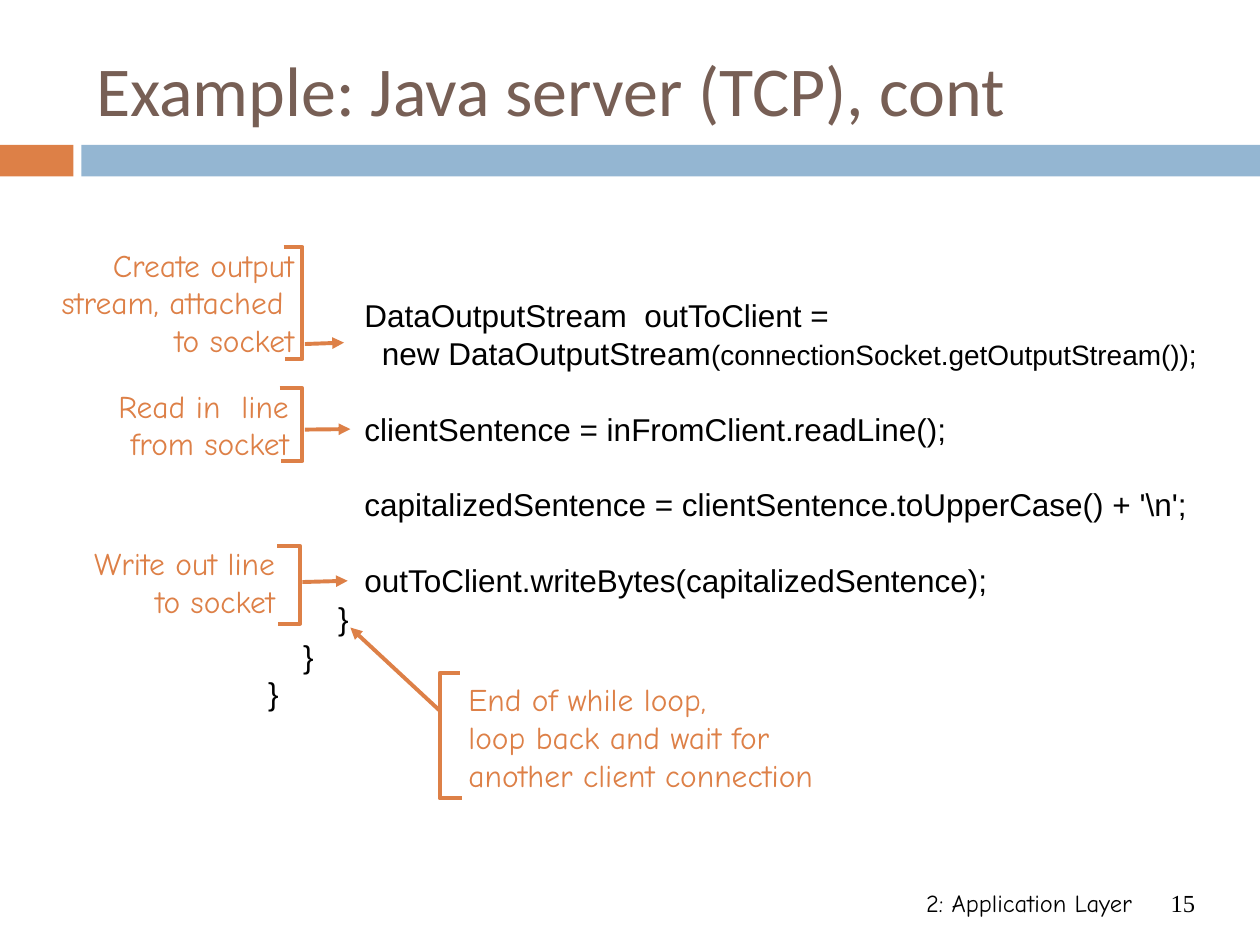
from dataclasses import dataclass

from lxml import etree
from pptx import Presentation
from pptx.dml.color import RGBColor
from pptx.enum.shapes import MSO_CONNECTOR, MSO_SHAPE
from pptx.enum.text import MSO_ANCHOR, PP_ALIGN
from pptx.oxml.ns import qn
from pptx.util import Pt

LEFT, RIGHT = PP_ALIGN.LEFT, PP_ALIGN.RIGHT
TOP, MIDDLE = MSO_ANCHOR.TOP, MSO_ANCHOR.MIDDLE
RECT, STRAIGHT = MSO_SHAPE.RECTANGLE, MSO_CONNECTOR.STRAIGHT


@dataclass(frozen=True)
class Theme:
    accent: str = "DD8047"
    band: str = "94B6D2"
    title: str = "775F55"
    ink: str = "000000"
    title_font: str = "Calibri"
    code_font: str = "Arial"
    note_font: str = "Comic Neue"
    number_font: str = "Times New Roman"
    title_size: float = 40
    body_size: float = 18
    small_code_size: float = 16
    footer_size: float = 14
    leading: float = 21.6
    stroke: float = 2.25


@dataclass(frozen=True)
class Box:
    left: float
    top: float
    width: float
    height: float

    def lengths(self) -> list:
        return [Pt(v) for v in (self.left, self.top, self.width, self.height)]


@dataclass(frozen=True)
class Style:
    font: str
    size: float
    color: str
    align: PP_ALIGN = LEFT
    anchor: MSO_ANCHOR = TOP
    leading: float | None = None


@dataclass(frozen=True)
class CodeLine:
    text: str
    small: str = ""
    gap: bool = False


@dataclass(frozen=True)
class Callout:
    text: str
    box: Box
    align: PP_ALIGN
    bracket: tuple
    arrow: tuple


THEME = Theme()
TITLE = Style(THEME.title_font, THEME.title_size, THEME.title, anchor=MIDDLE)
CODE = Style(THEME.code_font, THEME.body_size, THEME.ink, leading=THEME.leading)
FOOTER = Style(THEME.note_font, THEME.footer_size, THEME.ink, RIGHT)
NUMBER = Style(THEME.number_font, THEME.footer_size, THEME.ink, RIGHT)

BANDS = [
    (Box(0, 82.8, 42, 18), THEME.accent),
    (Box(46.5, 82.8, 673.5, 18), THEME.band),
]

TEXTS = [
    ("Example: Java server (TCP), cont", Box(48, 18, 642, 64.8), TITLE),
    ("2: Application Layer", Box(426, 504, 228, 36), FOOTER),
    ("15", Box(654, 504, 36, 36), NUMBER),
]

CODE_BOX = Box(146.2, 165.9, 560, 244.8)
CODE_LINES = [
    CodeLine("           DataOutputStream  outToClient ="),
    CodeLine("             new DataOutputStream", "(connectionSocket.getOutputStream());"),
    CodeLine("           clientSentence = inFromClient.readLine();", gap=True),
    CodeLine("           capitalizedSentence = clientSentence.toUpperCase() + '\\n';", gap=True),
    CodeLine("           outToClient.writeBytes(capitalizedSentence);", gap=True),
    CodeLine("        }"),
    CodeLine("    }"),
    CodeLine("}"),
]

CALLOUTS = [
    Callout("Create output\nstream, attached \nto socket", Box(10.1, 136.8, 165, 72), RIGHT,
            ((162, 141.1), (172.8, 141.1), (172.8, 205.2), (162.7, 205.2)),
            ((174.2, 196.6), (196.6, 195.8))),
    Callout("Read in  line\nfrom socket", Box(42.1, 217.4, 130, 50.4), RIGHT,
            ((159.8, 221.8), (172.8, 221.8), (172.8, 263.5), (160.6, 263.5)),
            ((174.2, 245.5), (200.2, 245.2))),
    Callout("Write out line\nto socket", Box(34.2, 307.4, 130, 50.4), RIGHT,
            ((158.4, 311.8), (171.4, 311.8), (171.4, 356.4), (159.1, 356.4)),
            ((172.8, 332.6), (198.7, 331.9))),
    Callout("End of while loop,\nloop back and wait for\nanother client connection",
            Box(260.6, 385.2, 225, 72), LEFT,
            ((262.8, 384.5), (251.3, 384.5), (251.3, 456.2), (264.2, 456.2)),
            ((251.3, 406.1), (200.2, 358.6))),
]


def rgb(color: str) -> RGBColor:
    return RGBColor.from_string(color)


def add_band(s, box: Box, color: str) -> None:
    sp = s.shapes.add_shape(RECT, *box.lengths())
    sp.shadow.inherit = False
    sp.fill.solid()
    sp.fill.fore_color.rgb = rgb(color)
    sp.line.fill.background()


def style_run(r, style: Style) -> None:
    r.font.name = style.font
    r.font.size = Pt(style.size)
    r.font.color.rgb = rgb(style.color)


def add_text(s, text: str, box: Box, style: Style):
    tf = s.shapes.add_textbox(*box.lengths()).text_frame
    tf.word_wrap = True
    tf.vertical_anchor = style.anchor
    tf.text = text
    for p in tf.paragraphs:
        p.alignment = style.align
        if style.leading:
            p.line_spacing = Pt(style.leading)
        for r in p.runs:
            style_run(r, style)
    return tf


def add_code(s, lines: list[CodeLine], box: Box) -> None:
    tf = add_text(s, "\n".join(line.text for line in lines), box, CODE)
    for p, line in zip(tf.paragraphs, lines):
        if line.gap:
            p.space_before = Pt(THEME.leading)
        if line.small:
            r = p.add_run()
            r.text = line.small
            style_run(r, CODE)
            r.font.size = Pt(THEME.small_code_size)


def stroke(sp) -> None:
    sp.line.color.rgb = rgb(THEME.accent)
    sp.line.width = Pt(THEME.stroke)


def add_bracket(s, points: tuple) -> None:
    start, *rest = [(Pt(x), Pt(y)) for x, y in points]
    builder = s.shapes.build_freeform(*start)
    builder.add_line_segments(rest, close=False)
    sp = builder.convert_to_shape()
    sp.shadow.inherit = False
    sp.fill.background()
    stroke(sp)


def add_arrow(s, ends: tuple) -> None:
    sp = s.shapes.add_connector(STRAIGHT, *[Pt(v) for end in ends for v in end])
    stroke(sp)
    etree.SubElement(sp.line._get_or_add_ln(), qn("a:tailEnd"), type="triangle")
    etree.SubElement(sp._element.spPr, qn("a:effectLst"))


def add_callout(s, callout: Callout) -> None:
    style = Style(THEME.note_font, THEME.body_size, THEME.accent, callout.align,
                  leading=THEME.leading)
    add_text(s, callout.text, callout.box, style)
    add_bracket(s, callout.bracket)
    add_arrow(s, callout.arrow)


def main() -> None:
    prs = Presentation()
    prs.slide_width, prs.slide_height = Pt(720), Pt(540)
    s = prs.slides.add_slide(prs.slide_layouts[6])
    for box, color in BANDS:
        add_band(s, box, color)
    for text, box, style in TEXTS:
        add_text(s, text, box, style)
    add_code(s, CODE_LINES, CODE_BOX)
    for callout in CALLOUTS:
        add_callout(s, callout)
    prs.save("out.pptx")


if __name__ == "__main__":
    main()
